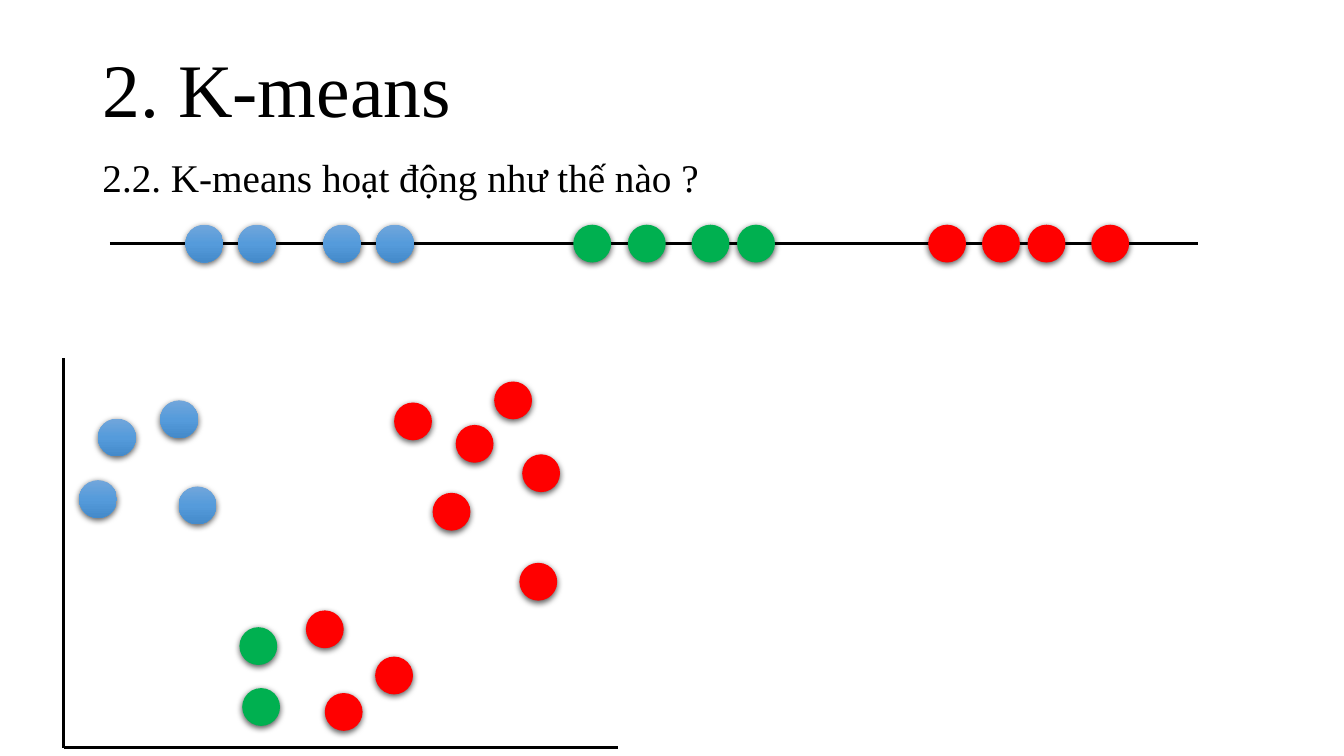
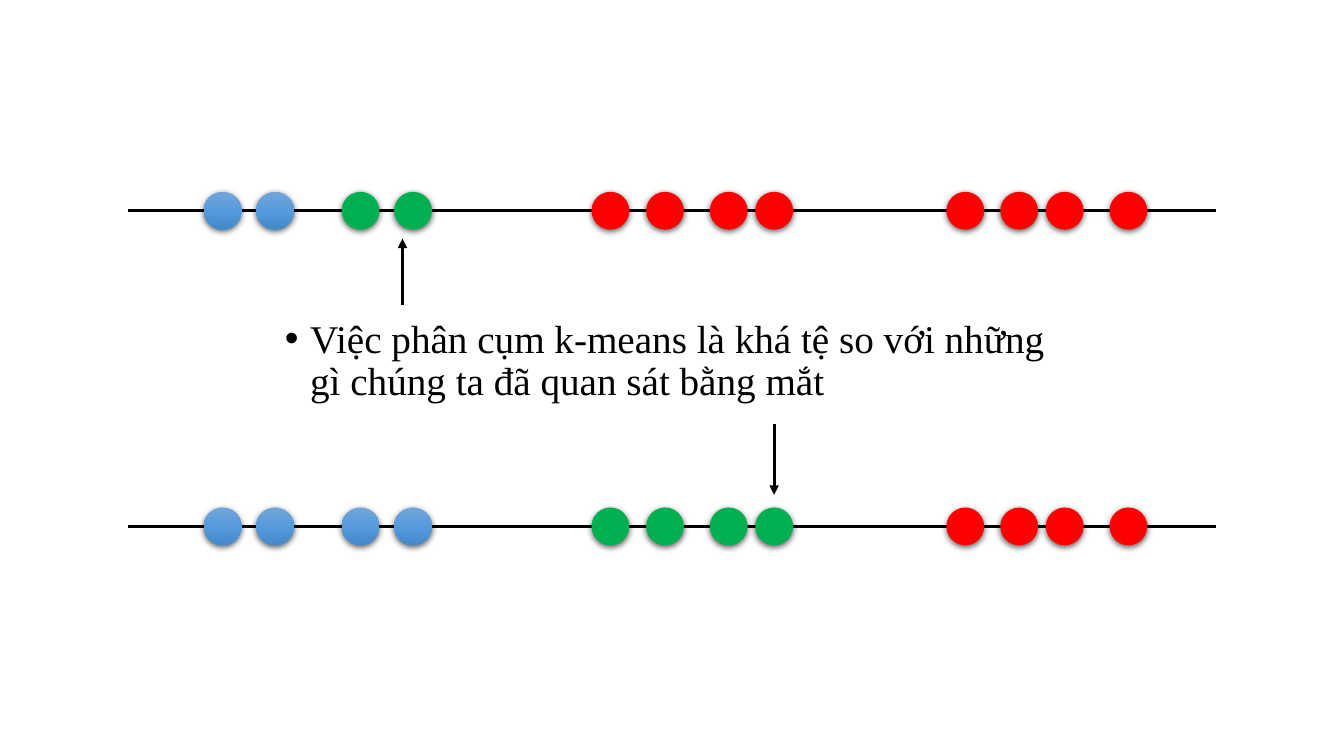
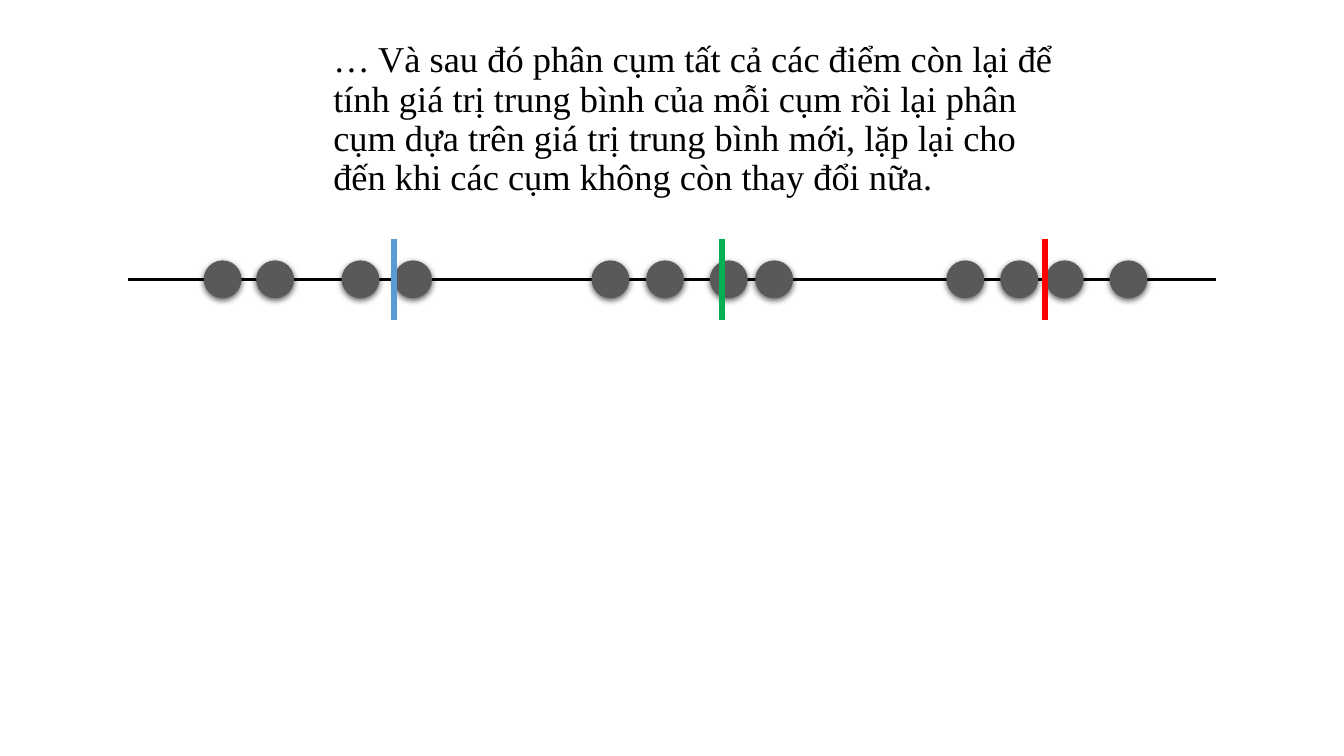
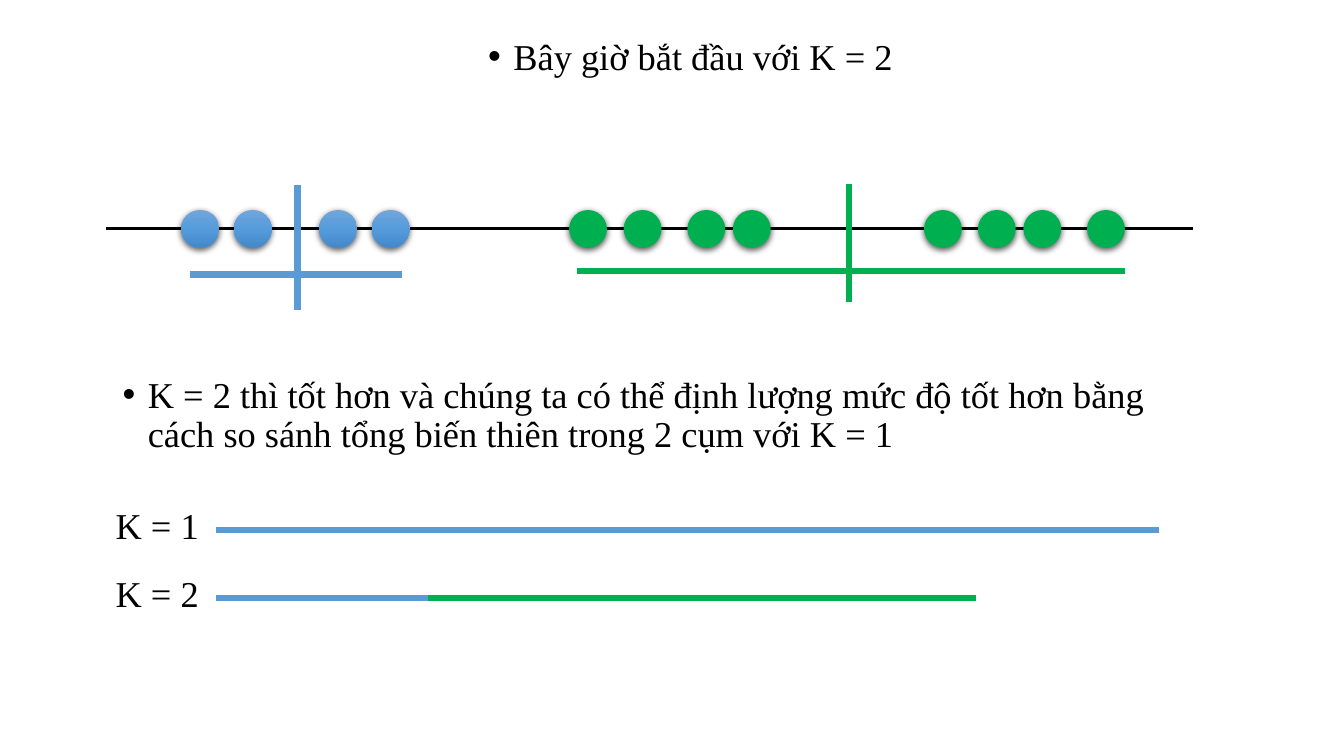
from copy import deepcopy
from dataclasses import dataclass

from pptx import Presentation
from pptx.dml.color import RGBColor
from pptx.enum import shapes, text
from pptx.oxml.ns import qn
from pptx.oxml.xmlchemy import OxmlElement
from pptx.util import Pt


@dataclass(frozen=True)
class Theme:
    font: str = "Times New Roman"
    black: str = "000000"
    blue: str = "5B9BD5"
    green: str = "00B050"
    red: str = "FF0000"
    gray: str = "595959"
    shade: tuple = ("71A6DB", "559BDB", "448ACA")  # blue dots, top to bottom
    title: int = 54
    lead: int = 28
    body: int = 26
    thin: float = 2.25
    thick: float = 4.5
    dot: int = 27


T = Theme()

# Dot positions along a track, from its left end
STEPS = (54, 91.5, 152.5, 190, 331, 370, 415.5, 448, 584.5, 623, 655.5, 701)
TRACK = 777

# Top left corners of the scattered dots, within the plot
CLOUD = {
    T.blue: [(11, 87), (24.5, 43), (82, 91.5), (69, 30)],
    T.red: [(236, 31.5), (280, 47.5), (307.5, 16.5), (327.5, 68.5), (173, 180),
            (186.5, 239), (325.5, 146), (263.5, 96), (222.5, 213)],
    T.green: [(125.5, 192), (127.5, 235.5)],
}


def rgb(code):
    return RGBColor.from_string(code)


def node(up, tag, **atts):
    kid = OxmlElement(tag)
    for key, val in atts.items():
        kid.set(key, str(val))
    up.append(kid)
    return kid


# Basic parts
def line(slide, x1, y1, x2, y2, col=T.black, wide=T.thin, arrow=False):
    con = slide.shapes.add_connector(
        shapes.MSO_CONNECTOR.STRAIGHT, Pt(x1), Pt(y1), Pt(x2), Pt(y2))
    con.line.color.rgb = rgb(col)
    con.line.width = Pt(wide)
    props = con.element.spPr
    if arrow:
        node(props.find(qn("a:ln")), "a:tailEnd", type="triangle")
    node(props, "a:effectLst")


def dot(slide, x, y, col):
    ball = slide.shapes.add_shape(
        shapes.MSO_SHAPE.FLOWCHART_CONNECTOR, Pt(x), Pt(y), Pt(T.dot), Pt(T.dot))
    ball.line.fill.background()
    ball.shadow.inherit = False
    props = ball.element.spPr
    if col == T.blue:
        ball.fill.gradient()
        ball.fill.gradient_angle = 270
        stops = props.find(".//" + qn("a:gsLst"))
        stops.append(deepcopy(stops[0]))
        for i, stop in enumerate(ball.fill.gradient_stops):
            stop.color.rgb = rgb(T.shade[i])
            stop.position = i / 2
    else:
        ball.fill.solid()
        ball.fill.fore_color.rgb = rgb(col)
    # Soft shadow below the dot
    cast = node(props.find(qn("a:effectLst")), "a:outerShdw", blurRad=Pt(4.5),
                dist=Pt(1.5), dir=5400000, algn="ctr", rotWithShape=0)
    node(node(cast, "a:srgbClr", val=T.black), "a:alpha", val=63000)


def write(shape, box, words, size, bullet=False, mid=False):
    shape.left, shape.top, shape.width, shape.height = map(Pt, box)
    frame = shape.text_frame
    frame.word_wrap = True
    frame.auto_size = text.MSO_AUTO_SIZE.NONE
    frame.vertical_anchor = text.MSO_ANCHOR.MIDDLE if mid else text.MSO_ANCHOR.TOP
    frame.text = words
    para = frame.paragraphs[0]
    para.alignment = text.PP_ALIGN.LEFT
    para.line_spacing = 0.9
    para.space_before = Pt(0)
    props = para._p.get_or_add_pPr()
    dent = Pt(18) if bullet else 0
    props.set("marL", str(dent))
    props.set("indent", str(-dent))
    if bullet:
        node(props, "a:buFont", typeface="Arial")
        node(props, "a:buChar", char="•")
    else:
        node(props, "a:buNone")
    font = para.runs[0].font
    font.name, font.size = T.font, Pt(size)
    font.color.rgb = rgb(T.black)


def note(slide, box, words, size, bullet=False):
    write(slide.shapes.add_textbox(*map(Pt, box)), box, words, size, bullet)


# Regions
def track(slide, x, y, *cols):
    """Number line; the colours share its dots out equally."""
    line(slide, x, y, x + TRACK, y)
    share = len(STEPS) // len(cols)
    for i, step in enumerate(STEPS):
        dot(slide, x + step, y - T.dot / 2, cols[i // share])


def mark(slide, x, y, up, down, col):
    line(slide, x, y - up, x, y + down, col, T.thick)


def plot(slide, x, y, w, h):
    line(slide, x, y, x, y + h)
    line(slide, x, y + h, x + w, y + h)
    for col, spots in CLOUD.items():
        for dx, dy in spots:
            dot(slide, x + dx, y + dy, col)


def total(slide, x, y, words, *parts):
    """Label followed by bars laid end to end."""
    note(slide, (x, y, 80, 42.5), words, T.body)
    left, mid = x + 78.5, y + 19
    for wide, col in parts:
        line(slide, left, mid, left + wide, mid, col, T.thick)
        left += wide


# Slides
def intro(slide):
    write(slide.shapes.title, (66, 0, 828, 133), "2. K-means", T.title, mid=True)
    write(slide.placeholders[1], (66, 109.5, 828, 376.5),
          "2.2. K-means hoạt động như thế nào ?", T.lead)
    track(slide, 78.5, 174, T.blue, T.green, T.red)
    plot(slide, 45.5, 256, 396, 278)


def compare(slide):
    track(slide, 91.5, 150.5, T.blue, T.green, T.red, T.red, T.red, T.red)
    track(slide, 91.5, 376, T.blue, T.green, T.red)
    note(slide, (196.5, 224.5, 584, 77),
         "Việc phân cụm k-means là khá tệ so với những gì chúng ta đã quan sát bằng mắt",
         T.lead, bullet=True)
    line(slide, 287.5, 218, 287.5, 170.5, arrow=True)
    line(slide, 553, 303, 553, 353.5, arrow=True)


def means(slide):
    x, y = 91.5, 199.5
    track(slide, x, y, T.gray)
    note(slide, (231, 26, 535, 123),
         "… Và sau đó phân cụm tất cả các điểm còn lại để tính giá trị trung bình "
         "của mỗi cụm rồi lại phân cụm dựa trên giá trị trung bình mới, lặp lại cho "
         "đến khi các cụm không còn thay đổi nữa.", T.body)
    for dx, col in ((190, T.blue), (424, T.green), (655, T.red)):
        mark(slide, x + dx, y, 29, 29, col)


def pair(slide):
    title = slide.shapes.title.element
    title.getparent().remove(title)
    write(slide.placeholders[1], (341.5, 24, 319, 70),
          "Bây giờ bắt đầu với K = 2", T.body, bullet=True)
    x, y = 75.5, 163.5
    track(slide, x, y, T.blue, T.green, T.green)
    note(slide, (80.5, 265.5, 772, 78.5),
         "K = 2 thì tốt hơn và chúng ta có thể định lượng mức độ tốt hơn bằng "
         "cách so sánh tổng biến thiên trong 2 cụm với K = 1", T.body, bullet=True)
    # Mean and spread of each cluster
    mark(slide, x + 137, y, 31, 58, T.blue)
    mark(slide, x + 531, y, 32, 52, T.green)
    for start, wide, dy, col in ((60, 152, 32.5, T.blue), (337, 391, 30, T.green)):
        line(slide, x + start, y + dy, x + start + wide, y + dy, col, T.thick)
    total(slide, x, 359.5, "K = 1", (674, T.blue))
    total(slide, x, 408, "K = 2", (152, T.blue), (391, T.green))


def main():
    deck = Presentation()
    deck.slide_width, deck.slide_height = Pt(960), Pt(540)
    listed, blank = deck.slide_layouts[1], deck.slide_layouts[6]
    for build, form in ((intro, listed), (compare, blank),
                        (means, blank), (pair, listed)):
        build(deck.slides.add_slide(form))
    deck.save("out.pptx")


if __name__ == "__main__":
    main()
